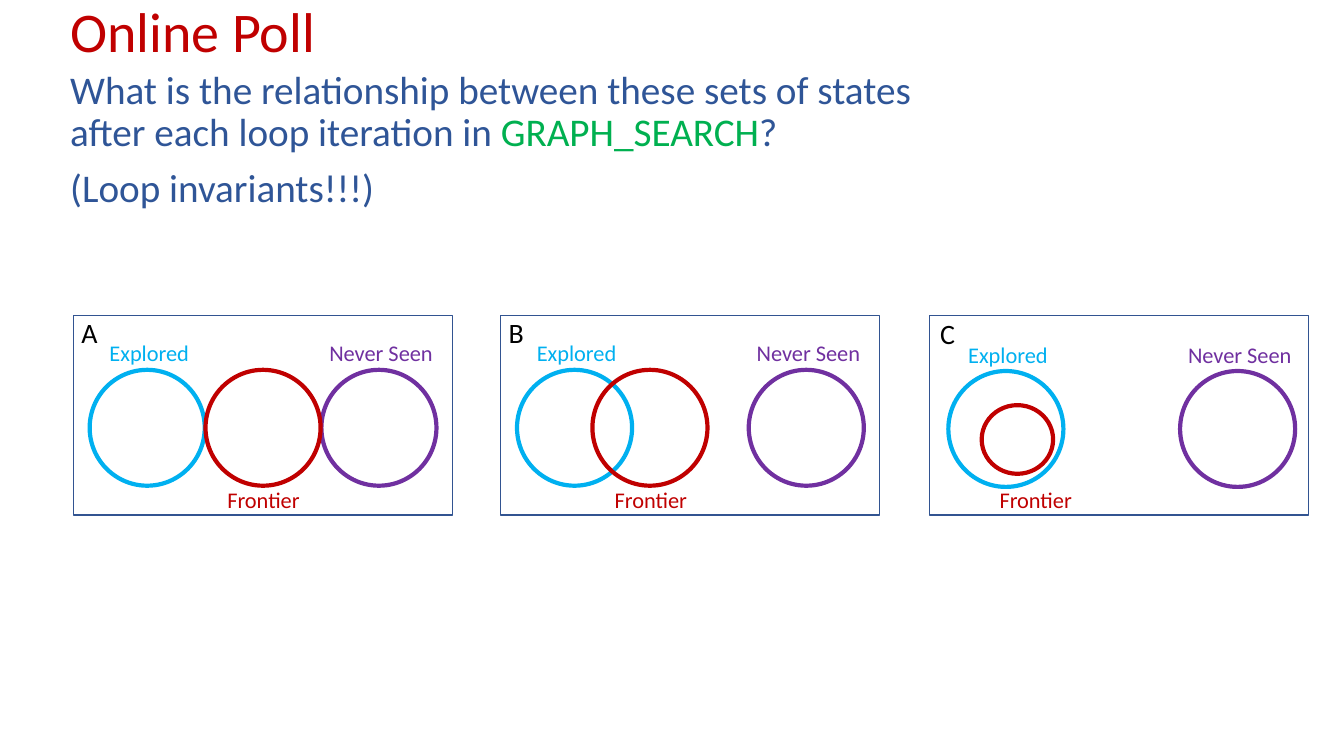
from dataclasses import dataclass

from pptx import Presentation
from pptx.dml.color import RGBColor
from pptx.enum.shapes import MSO_SHAPE
from pptx.enum.text import MSO_ANCHOR, MSO_AUTO_SIZE
from pptx.util import Cm, Pt


@dataclass(frozen=True)
class Theme:
    font: str = "Calibri"
    heading: str = "C00000"
    question: str = "2F5597"
    code: str = "00B050"
    letter: str = "000000"
    panel_fill: str = "FFFFFF"
    panel_line: str = "325491"
    explored: str = "00B0F0"
    frontier: str = "C00000"
    never_seen: str = "7030A0"
    heading_size: int = 40
    question_size: int = 28
    letter_size: int = 20
    label_size: int = 16


class PollSlide:
    def __init__(self, slide, theme):
        self.slide = slide
        self.theme = theme
        self.shapes = slide.shapes

    def start_group(self):
        """Send the following shapes into a new group."""
        self.shapes = self.slide.shapes.add_group_shape().shapes

    def add_run(self, paragraph, text, size, color):
        run = paragraph.add_run()
        run.text = text
        run.font.name = self.theme.font
        run.font.size = Pt(size)
        run.font.color.rgb = RGBColor.from_string(color)

    def text_block(self, left, top, width, height, paragraphs, size,
                   anchor=MSO_ANCHOR.TOP):
        """Add wrapped text; each paragraph is a list of (text, color) runs."""
        frame = self.shapes.add_textbox(
            Cm(left), Cm(top), Cm(width), Cm(height)).text_frame
        frame.word_wrap = True
        frame.vertical_anchor = anchor
        for index, runs in enumerate(paragraphs):
            paragraph = frame.add_paragraph() if index else frame.paragraphs[0]
            paragraph.line_spacing = 0.9
            if index:
                paragraph.space_before = Pt(10)
            for text, color in runs:
                self.add_run(paragraph, text, size, color)

    def label(self, left, top, width, height, text, size, color):
        frame = self.shapes.add_textbox(
            Cm(left), Cm(top), Cm(width), Cm(height)).text_frame
        frame.word_wrap = False
        frame.auto_size = MSO_AUTO_SIZE.SHAPE_TO_FIT_TEXT
        self.add_run(frame.paragraphs[0], text, size, color)

    def outline(self, preset, left, top, width, height, color, weight, fill=None):
        shape = self.shapes.add_shape(
            preset, Cm(left), Cm(top), Cm(width), Cm(height))
        shape.shadow.inherit = False
        shape.line.color.rgb = RGBColor.from_string(color)
        shape.line.width = Pt(weight)
        if fill:
            shape.fill.solid()
            shape.fill.fore_color.rgb = RGBColor.from_string(fill)
        else:
            shape.fill.background()

    def circle(self, left, top, color, width=2.9, height=2.92):
        self.outline(MSO_SHAPE.OVAL, left, top, width, height, color, 3)

    def option(self, letter, left, frontier_circle, frontier_label, nudge=(0, 0)):
        """Draw one answer panel; frontier positions are relative to the panel."""
        theme = self.theme
        top = 7.95
        x, y = left + nudge[0], top + nudge[1]
        frontier_x, frontier_y, *frontier_size = frontier_circle
        self.start_group()
        self.outline(MSO_SHAPE.RECTANGLE, left, top, 9.55, 5.03,
                     theme.panel_line, 1, theme.panel_fill)
        self.circle(x + 0.41, y + 1.37, theme.explored)
        self.label(x - 0.05, y - 0.13, 0.9, 1.12, letter,
                   theme.letter_size, theme.letter)
        self.label(x + 0.66, y + 0.48, 2.54, 0.94, "Explored",
                   theme.label_size, theme.explored)
        self.circle(x + 6.25, y + 1.37, theme.never_seen)
        self.label(x + 6.2, y + 0.48, 3.18, 0.94, "Never Seen",
                   theme.label_size, theme.never_seen)
        self.circle(left + frontier_x, top + frontier_y, theme.frontier,
                    *frontier_size)
        self.label(left + frontier_label, top + 4.17, 2.36, 0.94, "Frontier",
                   theme.label_size, theme.frontier)


def main():
    deck = Presentation()
    deck.slide_width, deck.slide_height = Cm(33.87), Cm(19.05)
    theme = Theme()
    poll = PollSlide(deck.slides.add_slide(deck.slide_layouts[6]), theme)

    poll.text_block(1.52, 0, 29.21, 1.75, [[("Online Poll", theme.heading)]],
                    theme.heading_size, MSO_ANCHOR.MIDDLE)
    question = [
        [("What is the relationship between these sets of states after each "
          "loop iteration in ", theme.question),
         ("GRAPH_SEARCH", theme.code),
         ("?", theme.question)],
        [("(Loop invariants!!!)", theme.question)],
    ]
    poll.text_block(1.52, 1.65, 23.42, 5.66, question, theme.question_size)

    poll.option("A", 1.85, (3.33, 1.37), 3.63)
    poll.option("B", 12.62, (2.31, 1.37), 2.62)
    poll.option("C", 23.42, (1.32, 2.26, 1.8, 1.73), 1.52, nudge=(0.07, 0.03))

    deck.save("out.pptx")


if __name__ == "__main__":
    main()
